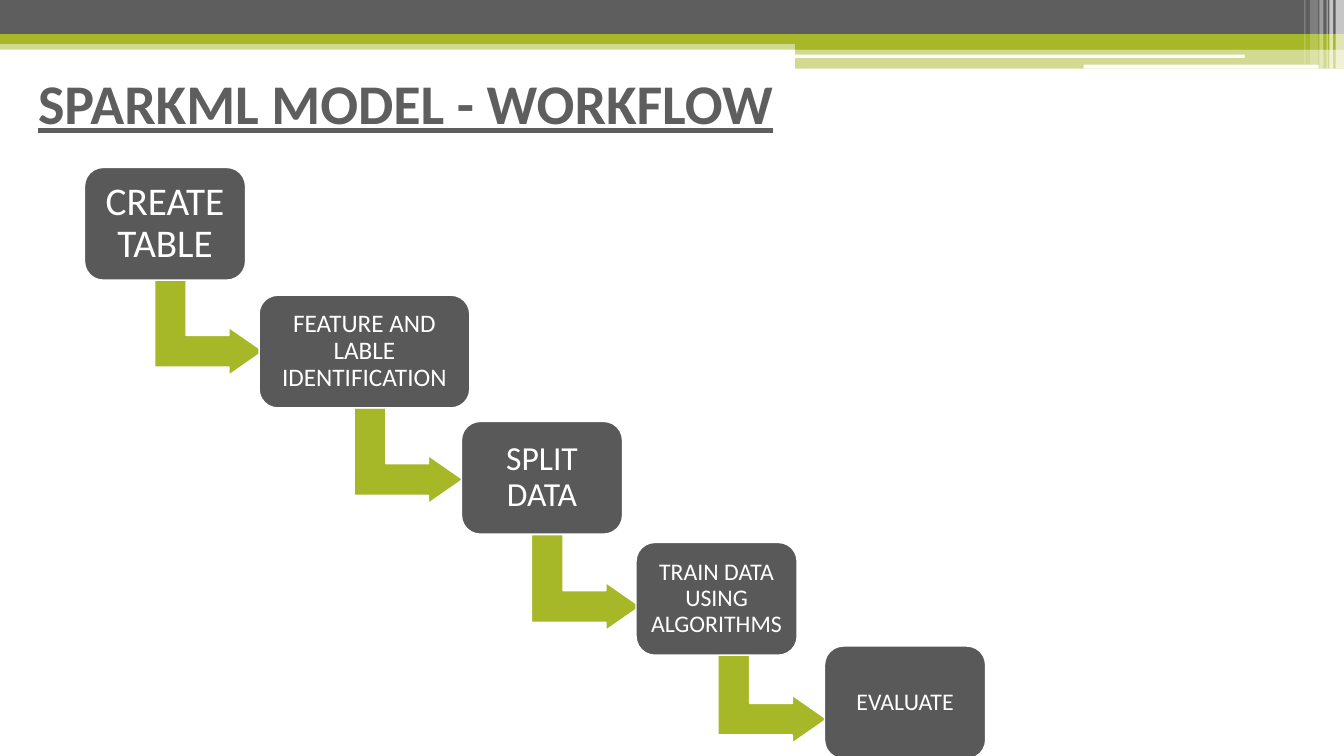
from lxml.etree import SubElement
from pptx import Presentation
from pptx.dml.color import RGBColor
from pptx.enum.shapes import MSO_SHAPE as Shape
from pptx.enum.text import MSO_ANCHOR as Anchor, PP_ALIGN as Align
from pptx.oxml.ns import qn
from pptx.util import Cm, Pt

COLORS = {"grey": "5E5E5E", "green": "A6B727", "box": "595959", "white": "FFFFFF"}
FONT = "Calibri"
BOX_HEIGHT = 2.84
ARROW_WIDTH, ARROW_HEIGHT = 2.41, 2.74


class SlideBuilder:
    def __init__(self, slide):
        self.slide = slide

    def color(self, name):
        return RGBColor.from_string(COLORS[name])

    def shape(self, kind, left, top, width, height, fill, opacity=100, outlined=False):
        shape = self.slide.shapes.add_shape(kind, Cm(left), Cm(top), Cm(width), Cm(height))
        shape.shadow.inherit = False
        shape.fill.solid()
        shape.fill.fore_color.rgb = self.color(fill)
        if opacity < 100:
            color = shape.element.spPr.find(qn("a:solidFill"))[0]
            SubElement(color, qn("a:alpha"), val=str(opacity * 1000))
        if outlined:
            shape.line.color.rgb = self.color("white")
            shape.line.width = Pt(1)
        else:
            shape.line.fill.background()
        return shape

    def label(self, shape, text, size, color):
        frame = shape.text_frame
        frame.word_wrap = True
        frame.vertical_anchor = Anchor.MIDDLE
        paragraph = frame.paragraphs[0]
        paragraph.text = text
        font = paragraph.font
        font.name, font.size = FONT, Pt(size)
        font.color.rgb = self.color(color)
        return paragraph

    def title(self, text, left, top, width, height):
        box = self.slide.shapes.add_textbox(Cm(left), Cm(top), Cm(width), Cm(height))
        font = self.label(box, text, 40, "grey").font
        font.bold = font.underline = True

    def step(self, text, left, top, width, size):
        box = self.shape(Shape.ROUNDED_RECTANGLE, left, top, width, BOX_HEIGHT, "box", outlined=True)
        paragraph = self.label(box, text, size, "white")
        paragraph.alignment = Align.CENTER
        paragraph.line_spacing = 0.9
        frame = box.text_frame
        # Margins grow with the text size
        frame.margin_left = frame.margin_right = Cm(size * 0.01)
        frame.margin_top = frame.margin_bottom = Cm(size * 0.01)

    def arrow(self, left, top):
        arrow = self.shape(Shape.BENT_UP_ARROW, left, top, ARROW_WIDTH, ARROW_HEIGHT,
                           "green", outlined=True)
        arrow.rotation = 90
        for index, value in enumerate((0.33, 0.25, 0.36)):
            arrow.adjustments[index] = value


presentation = Presentation()
presentation.slide_width, presentation.slide_height = Cm(33.87), Cm(19.05)
builder = SlideBuilder(presentation.slides.add_slide(presentation.slide_layouts[6]))

# Header bands: left, top, width, height, fill, opacity
for band in [
    (0, 1.02, 33.87, 0.23, "green", 50),
    (0, 0, 33.87, 0.86, "grey", 100),
    (0, 0.86, 33.87, 0.25, "green", 100),
    (20.04, 1, 13.83, 0.25, "green", 100),
    (20.04, 1.23, 13.83, 0.5, "green", 50),
]:
    builder.shape(Shape.RECTANGLE, *band)

# White lines cut into the header
for line in [(20.02, 1.38, 11.35, 0.08), (27.31, 1.63, 5.92, 0.1)]:
    builder.shape(Shape.ROUNDED_RECTANGLE, *line, "white")

# Translucent stripes at the right edge: left, width, height, opacity
for left, width, height, opacity in [
    (33.66, 0.21, 1.73, 65),
    (33.5, 0.1, 1.73, 65),
    (33.43, 0.03, 1.73, 60),
    (33.25, 0.1, 1.73, 40),
    (33.02, 0.2, 1.63, 20),
    (32.87, 0.03, 1.63, 30),
]:
    builder.shape(Shape.RECTANGLE, left, 0, width, height, "white", opacity)

# Workflow: text, box left, top, width, text size, arrow position
for text, left, top, width, size, arrow in [
    ("CREATE TABLE", 2.13, 4.22, 4.06, 28, (4.06, 6.88)),
    ("FEATURE AND LABLE IDENTIFICATION", 6.53, 7.44, 5.31, 18, (9.09, 10.11)),
    ("SPLIT DATA", 11.63, 10.62, 4.06, 24, (13.56, 13.31)),
    ("TRAIN DATA USING ALGORITHMS", 16.03, 13.67, 4.06, 17, (18.26, 16.15)),
    ("EVALUATE", 20.78, 16.28, 4.06, 17, None),
]:
    if arrow:
        builder.arrow(*arrow)
    builder.step(text, left, top, width, size)

builder.title("SPARKML MODEL - WORKFLOW", 0.71, 1.09, 30.48, 2.97)

presentation.save("out.pptx")
